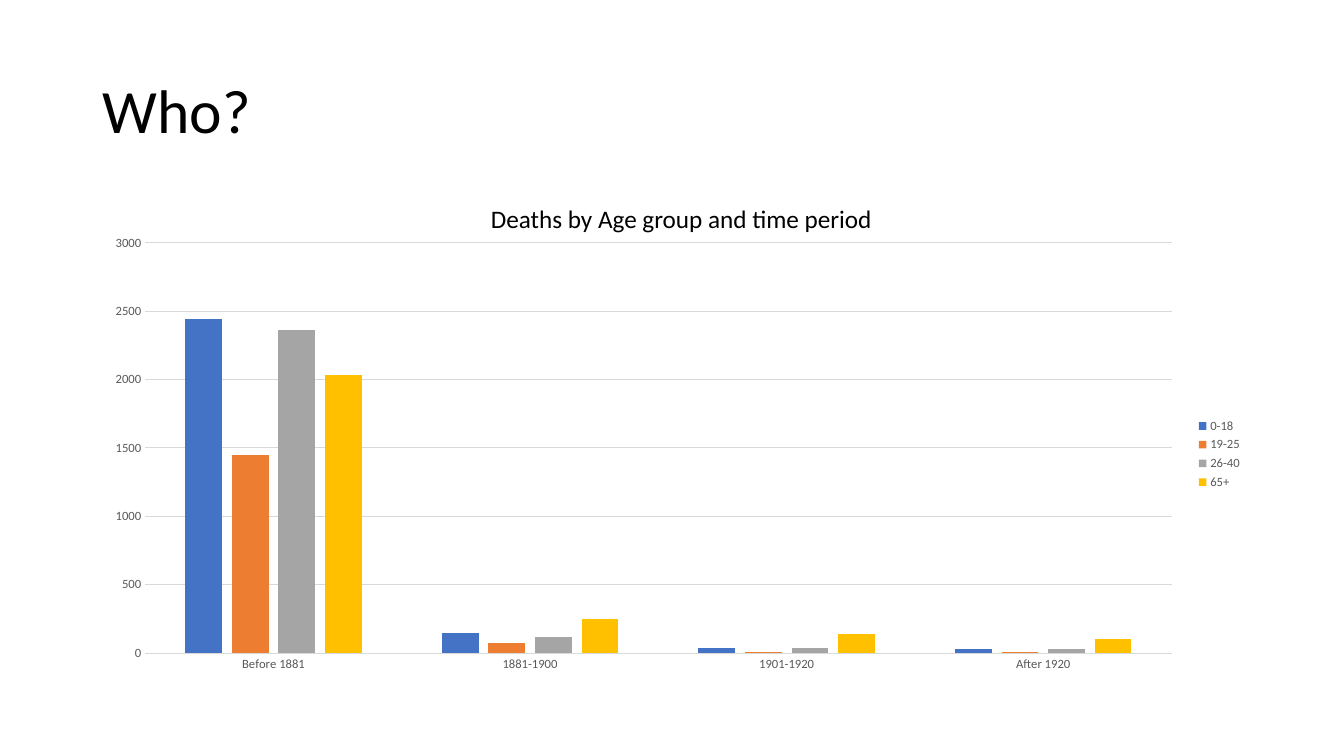
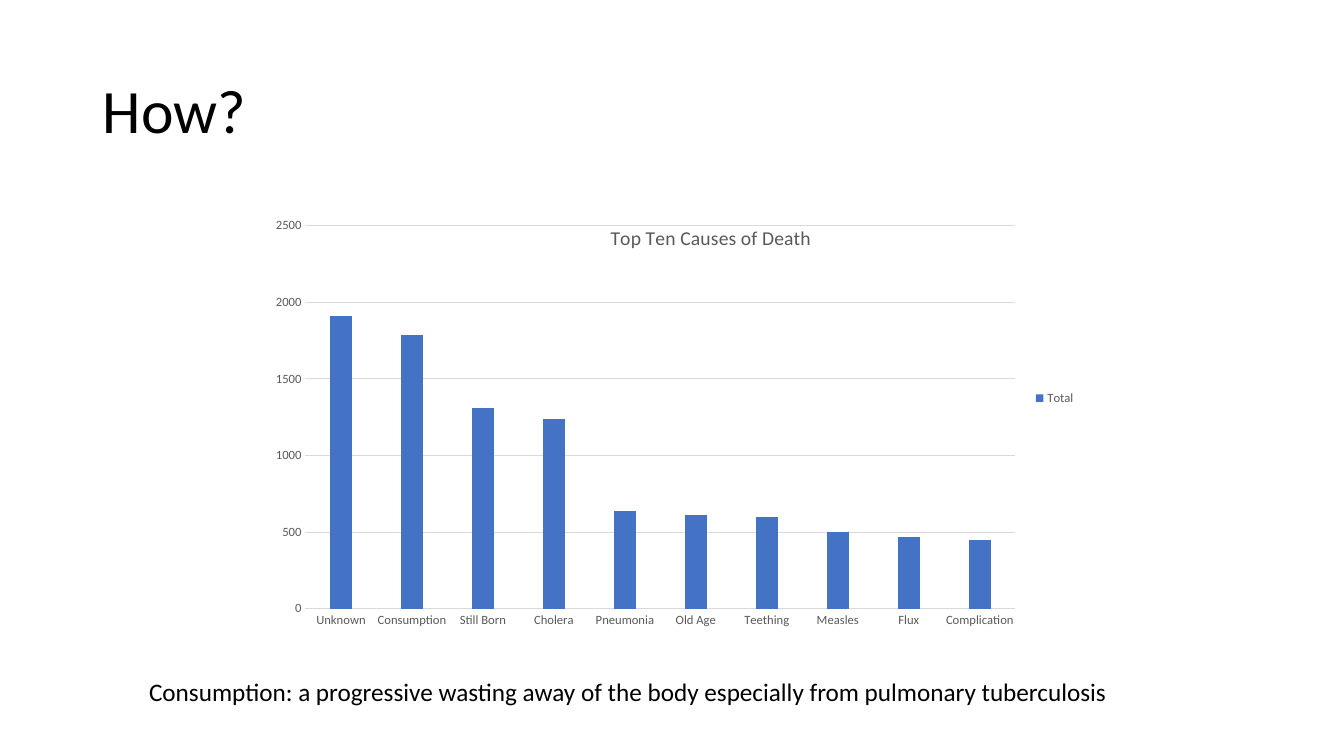
from pptx import Presentation
from pptx.chart.data import CategoryChartData as Data
from pptx.dml.color import RGBColor as RGB
from pptx.enum.chart import XL_CHART_TYPE as Kind, XL_LEGEND_POSITION as Pos, XL_TICK_MARK as Tick
from pptx.enum.text import MSO_ANCHOR as Anchor, PP_ALIGN as Align
from pptx.oxml import parse_xml
from pptx.oxml.ns import nsdecls, qn
from pptx.util import Inches, Pt

FACE = "Calibri"
HUES = {"text": "000000", "label": "595959", "grid": "D9D9D9",
        "bars": ["4472C4", "ED7D31", "A5A5A5", "FFC000"]}

# Plot boxes are left, top, width, height on the slide, like the chart boxes
PAGES = [
    {"title": "Who?",
     "box": (0.92, 2.25, 11.5, 4.51), "plot": (1.44, 2.41, 10.18, 4.07), "top": 3000,
     "cats": ["Before 1881", "1881-1900", "1901-1920", "After 1920"],
     "rows": {"0-18": [2440, 150, 40, 30], "19-25": [1450, 70, 10, 10],
              "26-40": [2360, 120, 40, 30], "65+": [2030, 250, 140, 100]},
     "note": "Deaths by Age group and time period", "spot": (4.77, 1.97, 4.03, 0.4)},
    {"title": "How?",
     "box": (2.57, 1.57, 8.2, 4.76), "plot": (3.03, 2.24, 7.04, 3.8), "top": 2500,
     "cats": ["Unknown", "Consumption", "Still Born", "Cholera", "Pneumonia",
              "Old Age", "Teething", "Measles", "Flux", "Complication"],
     "rows": {"Total": [1910, 1790, 1310, 1240, 640, 610, 600, 500, 470, 450]},
     "head": "Top Ten Causes of Death", "head_at": (6.02, 2.19),
     "note": "Consumption: a progressive wasting away of the body especially "
             "from pulmonary tuberculosis", "spot": (1.38, 6.66, 9.81, 0.4)},
]


def style(font, size, hue):
    font.name, font.size, font.bold = FACE, Pt(size), False
    font.color.rgb = RGB.from_string(HUES[hue])


def place(part, box, area):
    """Pin a chart part at a slide position, as fractions of the chart box."""
    vals = [(area[0] - box[0]) / box[2], (area[1] - box[1]) / box[3]]
    tags = ["xMode", "yMode", "x", "y"]
    vals = ["edge", "edge"] + vals
    if len(area) == 4:
        tags = ["layoutTarget"] + tags + ["w", "h"]
        vals = ["inner"] + vals + [area[2] / box[2], area[3] / box[3]]
    body = "".join(f'<c:{t} val="{v}"/>' for t, v in zip(tags, vals))
    new = parse_xml(f'<c:layout {nsdecls("c")}><c:manualLayout>{body}</c:manualLayout></c:layout>')
    old = part.find(qn("c:layout"))
    if old is None:
        part.insert(0, new)
    else:
        part.replace(old, new)


deck = Presentation()
deck.slide_width, deck.slide_height = Inches(13.33), Inches(7.5)

for page in PAGES:
    slide = deck.slides.add_slide(deck.slide_layouts[5])

    # Title
    title = slide.shapes.title
    title.left, title.top, title.width, title.height = map(Inches, (0.92, 0.4, 11.5, 1.45))
    frame = title.text_frame
    frame.text = page["title"]
    frame.vertical_anchor = Anchor.MIDDLE
    para = frame.paragraphs[0]
    para.alignment, para.line_spacing = Align.LEFT, 0.9
    style(para.runs[0].font, 44, "text")

    # Chart
    data = Data()
    data.categories = page["cats"]
    for name, vals in page["rows"].items():
        data.add_series(name, vals)
    chart = slide.shapes.add_chart(
        Kind.COLUMN_CLUSTERED, *map(Inches, page["box"]), data).chart
    style(chart.font, 10, "text")
    plot = chart.plots[0]
    plot.gap_width, plot.overlap, plot.vary_by_categories = 219, -27, False
    for row, hue in zip(plot.series, HUES["bars"]):
        row.format.fill.solid()
        row.format.fill.fore_color.rgb = RGB.from_string(hue)

    # Axes and grid
    cat, val = chart.category_axis, chart.value_axis
    for axis in (cat, val):
        axis.major_tick_mark = axis.minor_tick_mark = Tick.NONE
        style(axis.tick_labels.font, 9, "label")
    val.minimum_scale, val.maximum_scale, val.major_unit = 0, page["top"], 500
    val.format.line.fill.background()
    for line in (cat.format.line, val.major_gridlines.format.line):
        line.width = Pt(0.75)
        line.color.rgb = RGB.from_string(HUES["grid"])

    # Legend, chart title and plot position
    chart.has_legend = True
    chart.legend.position = Pos.RIGHT
    chart.legend.include_in_layout = False
    style(chart.legend.font, 9, "label")
    chart.has_title = "head" in page
    if chart.has_title:
        text = chart.chart_title.text_frame
        text.text = page["head"]
        style(text.paragraphs[0].runs[0].font, 14, "label")
        place(chart._chartSpace.xpath("c:chart/c:title")[0], page["box"], page["head_at"])
    place(chart._chartSpace.xpath("c:chart/c:plotArea")[0], page["box"], page["plot"])

    # Note
    note = slide.shapes.add_textbox(*map(Inches, page["spot"])).text_frame
    note.word_wrap = False
    note.text = page["note"]
    style(note.paragraphs[0].runs[0].font, 18, "text")

deck.save("out.pptx")
